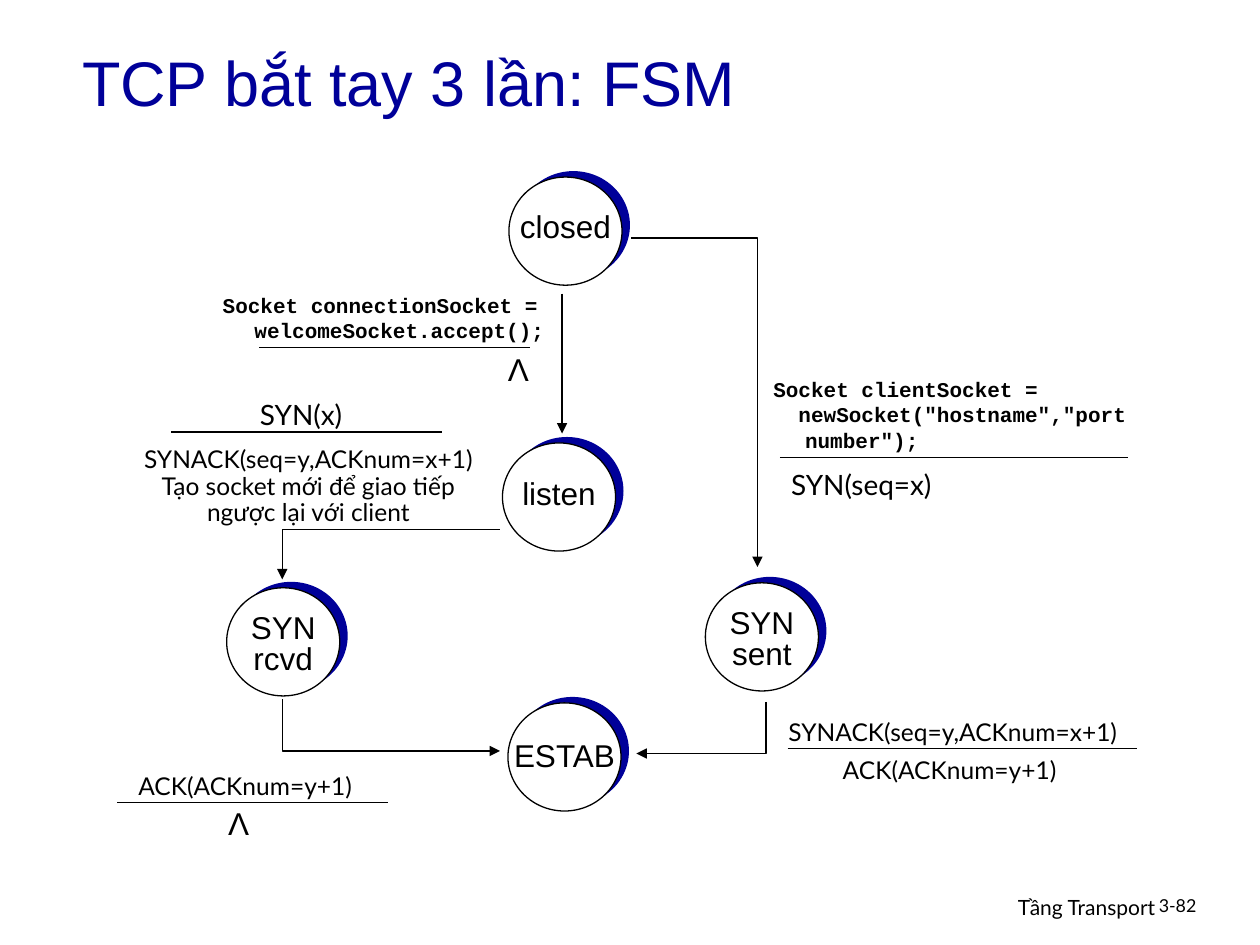
from lxml import etree
from pptx import Presentation
from pptx import util as u
from pptx.dml.color import RGBColor
from pptx.enum import shapes, text
from pptx.oxml import ns

Cm, Pt = u.Cm, u.Pt
COLORS = {"navy": "000099", "white": "FFFFFF", "black": "000000"}
LEFT, CENTER, RIGHT = text.PP_ALIGN.LEFT, text.PP_ALIGN.CENTER, text.PP_ALIGN.RIGHT

# Text formats
STATE = dict(size=18, font="Arial", align=CENTER, wrap=False)
MESSAGE = dict(size=16, font="Lato", align=CENTER, wrap=False)
SEGMENT = dict(size=14, font="Lato", align=CENTER, wrap=False, spacing=0.9)
CODE = dict(size=12, font="Courier New", bold=True, hanging=0.64)

CIRCLE_WIDTH, CIRCLE_HEIGHT = 2.28, 2.18
SHADOW_DX, SHADOW_DY = 0.16, 0.12
LABEL_WIDTH, LABEL_HEIGHT = 2.8, 1.5


def color(name):
    return RGBColor.from_string(COLORS[name])


def write(frame, content, size=12, font="Lato", ink="black", bold=False,
          align=LEFT, spacing=None, wrap=True, hanging=0,
          anchor=text.MSO_ANCHOR.TOP):
    """Fill a text frame, one paragraph for each line of content."""
    frame.word_wrap = wrap
    frame.vertical_anchor = anchor
    for index, line in enumerate(content.split("\n")):
        paragraph = frame.paragraphs[0] if index == 0 else frame.add_paragraph()
        paragraph.alignment = align
        if spacing:
            paragraph.line_spacing = spacing
        if hanging:
            properties = paragraph._p.get_or_add_pPr()
            properties.set("marL", str(Cm(hanging)))
            properties.set("indent", str(-Cm(hanging)))
        run = paragraph.add_run()
        run.text = line
        run.font.size = Pt(size)
        run.font.name = font
        run.font.bold = bold
        run.font.color.rgb = color(ink)


def add_text(slide, left, top, width, height, content, **style):
    box = slide.shapes.add_textbox(Cm(left), Cm(top), Cm(width), Cm(height))
    write(box.text_frame, content, **style)


def format_line(shape, arrow=False):
    shape.line.color.rgb = color("black")
    shape.line.width = Pt(0.75)
    if arrow:
        tail = etree.SubElement(shape.line._get_or_add_ln(), ns.qn("a:tailEnd"))
        tail.set("type", "triangle")


def add_line(slide, x1, y1, x2, y2, arrow=False):
    line = slide.shapes.add_connector(
        shapes.MSO_CONNECTOR.STRAIGHT, Cm(x1), Cm(y1), Cm(x2), Cm(y2))
    format_line(line, arrow)
    etree.SubElement(line._element.spPr, ns.qn("a:effectLst"))


def add_elbow(slide, *points):
    """Bent arrow through the points, with its head at the last one."""
    start, *rest = [(Cm(x), Cm(y)) for x, y in points]
    builder = slide.shapes.build_freeform(*start)
    builder.add_line_segments(rest, close=False)
    elbow = builder.convert_to_shape()
    elbow.shadow.inherit = False
    elbow.fill.background()
    format_line(elbow, arrow=True)


def add_state(slide, left, top, name, label_dy=0.0, spacing=None):
    """Circle over an offset navy disc, with the state name centred on it."""
    group = slide.shapes.add_group_shape()
    for x, y, fill in ((left + SHADOW_DX, top, "navy"),
                       (left, top + SHADOW_DY, "white")):
        disc = group.shapes.add_shape(
            shapes.MSO_SHAPE.OVAL, Cm(x), Cm(y), Cm(CIRCLE_WIDTH), Cm(CIRCLE_HEIGHT))
        disc.shadow.inherit = False
        disc.fill.solid()
        disc.fill.fore_color.rgb = color(fill)
        if fill == "white":
            format_line(disc)
        else:
            disc.line.fill.background()
    # The name's box is wider than the circle so that it stays on its line
    add_text(slide, left + (CIRCLE_WIDTH - LABEL_WIDTH) / 2,
             top + SHADOW_DY + (CIRCLE_HEIGHT - LABEL_HEIGHT) / 2 + label_dy,
             LABEL_WIDTH, LABEL_HEIGHT, name, spacing=spacing,
             anchor=text.MSO_ANCHOR.MIDDLE, **STATE)


def add_transition_label(slide, left, top, width, *parts):
    """Rule with event and action; part boxes are relative to the rule's start."""
    add_line(slide, left, top, left + width, top)
    for content, style, (dx, dy, part_width, part_height) in parts:
        add_text(slide, left + dx, top + dy, part_width, part_height, content, **style)


def add_header_and_footer(slide):
    title = slide.shapes.title
    title.left, title.top, title.width, title.height = map(Cm, (1.4, 0.46, 19.33, 2.36))
    write(title.text_frame, "TCP bắt tay 3 lần: FSM", size=36, font="Arial",
          ink="navy", anchor=text.MSO_ANCHOR.MIDDLE)
    add_text(slide, 15.49, 17.91, 8.05, 0.79, "Tầng Transport", align=RIGHT)
    add_text(slide, 23.11, 17.96, 1.88, 0.76, "3-82", size=10.2, spacing=0.9)


def add_states(slide):
    add_state(slide, 10.26, 3.45, "closed", -0.1)
    add_state(slide, 10.13, 8.81, "listen", -0.08)
    add_state(slide, 4.57, 11.73, "SYN\nrcvd", 0.08, spacing=0.8)
    add_state(slide, 14.22, 11.63, "SYN\nsent", 0.08, spacing=0.8)
    add_state(slide, 10.24, 14.05, "ESTAB", 0.03, spacing=0.8)


def add_arrows(slide):
    add_line(slide, 11.33, 5.92, 11.33, 8.74, arrow=True)
    add_elbow(slide, (12.73, 4.8), (15.27, 4.8), (15.27, 11.43))
    add_elbow(slide, (10.08, 10.67), (5.69, 10.67), (5.69, 11.68))
    add_elbow(slide, (5.69, 14.1), (5.69, 15.14), (10.08, 15.14))
    add_elbow(slide, (15.44, 14.15), (15.44, 15.19), (12.83, 15.19))


def add_labels(slide):
    # closed to listen
    add_transition_label(
        slide, 5.23, 7.01, 5.46,
        ("Socket connectionSocket = welcomeSocket.accept();", CODE,
         (-0.99, -1.24, 7.16, 1.27)),
        ("Λ", STATE, (4.75, -0.08, 0.94, 1.02)))
    # closed to SYN sent
    add_transition_label(
        slide, 15.72, 9.22, 7.01,
        ('Socket clientSocket =\n  newSocket("hostname","port number");', CODE,
         (-0.38, -1.75, 8.03, 1.78)),
        ("SYN(seq=x)", MESSAGE, (-0.08, 0.08, 3.45, 0.94)))
    # listen to SYN rcvd
    add_transition_label(
        slide, 3.45, 8.71, 5.46,
        ("SYN(x)", MESSAGE, (1.53, -0.82, 2.18, 0.94)),
        ("SYNACK(seq=y,ACKnum=x+1)\nTạo socket mới để giao tiếp\nngược lại với client",
         SEGMENT, (-0.86, 0.19, 7.26, 1.98)))
    # SYN sent to ESTAB
    add_transition_label(
        slide, 15.88, 15.09, 7.04,
        ("SYNACK(seq=y,ACKnum=x+1)", SEGMENT, (-0.3, -0.69, 7.26, 0.8)),
        ("ACK(ACKnum=y+1)", SEGMENT, (0.84, 0.08, 4.85, 0.8)))
    # SYN rcvd to ESTAB
    add_transition_label(
        slide, 2.36, 16.18, 5.46,
        ("ACK(ACKnum=y+1)", SEGMENT, (0.16, -0.7, 4.85, 0.8)),
        ("Λ", STATE, (1.98, -0.1, 0.94, 1.02)))


def main():
    presentation = Presentation()
    presentation.slide_width, presentation.slide_height = Cm(25.4), Cm(19.05)
    slide = presentation.slides.add_slide(presentation.slide_layouts[5])
    add_header_and_footer(slide)
    add_states(slide)
    add_arrows(slide)
    add_labels(slide)
    presentation.save("out.pptx")


if __name__ == "__main__":
    main()
